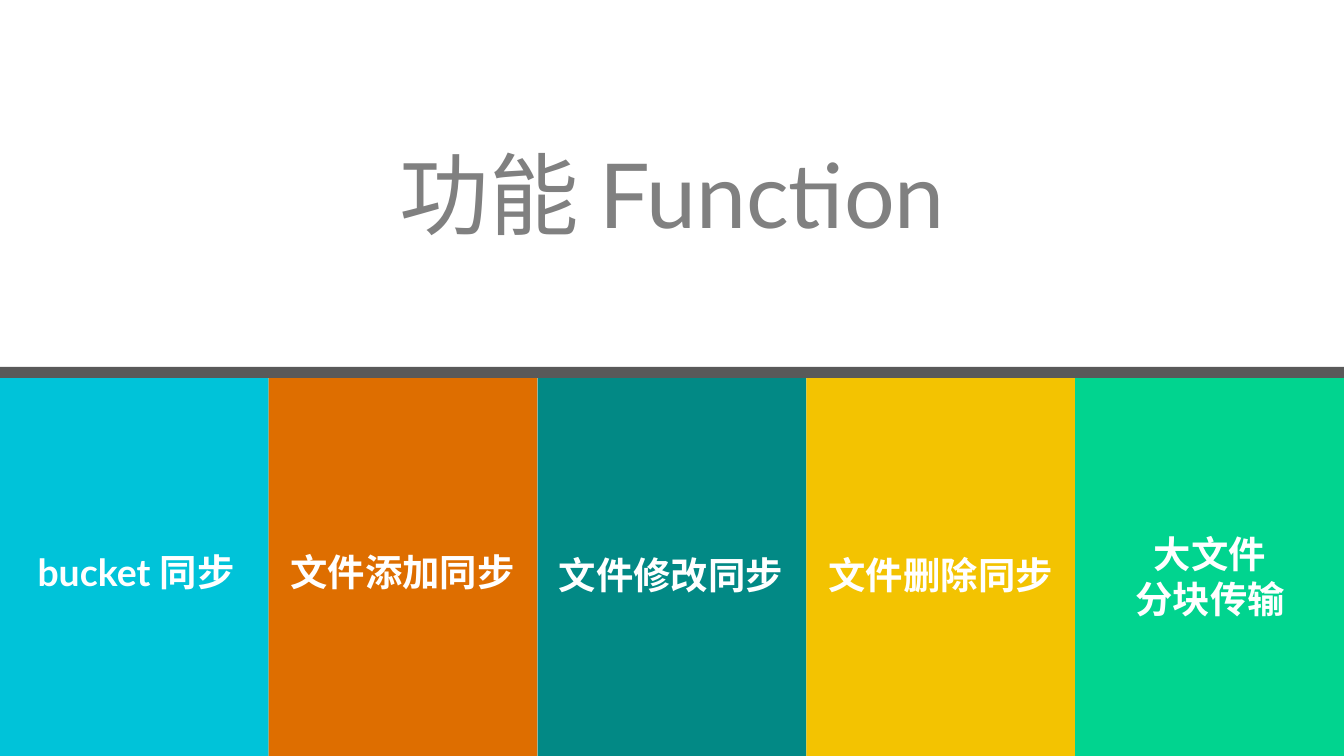
from pptx import Presentation
from pptx.dml.color import RGBColor
from pptx.enum.shapes import MSO_SHAPE
from pptx.enum.text import MSO_ANCHOR, MSO_AUTO_SIZE, PP_ALIGN
from pptx.util import Cm, Pt

# Content: label, panel colour, label left / top / width / height in cm
TITLE = "功能 Function"
FEATURES = [
    ("bucket 同步", "00C3D9", (0.46, 10.24, 4.32, 1.12), PP_ALIGN.LEFT),
    ("文件添加同步", "DE6E00", (5.21, 10.24, 4.8, 1.12), PP_ALIGN.CENTER),
    ("文件修改同步", "028985", (10.24, 10.31, 4.88, 1.12), PP_ALIGN.CENTER),
    ("文件删除同步", "F3C301", (15.29, 10.31, 4.98, 1.12), PP_ALIGN.CENTER),
    ("大文件\n分块传输", "01D48F", (20.42, 9.91, 4.9, 1.96), PP_ALIGN.CENTER),
]
THEME = {"font": "Lato", "title": "808080", "label": "FFFFFF", "bar": "595959",
         "title_size": 48, "label_size": 20}

# Layout in cm
PAGE_WIDTH, PAGE_HEIGHT = 25.4, 14.28
PANEL_TOP, BAR_HEIGHT = 7.14, 0.21
PANEL_WIDTH = PAGE_WIDTH / len(FEATURES)


def add_block(page, left, top, width, height, color):
    block = page.shapes.add_shape(
        MSO_SHAPE.RECTANGLE, Cm(left), Cm(top), Cm(width), Cm(height))
    block.shadow.inherit = False
    block.fill.solid()
    block.fill.fore_color.rgb = RGBColor.from_string(color)
    block.line.fill.background()


def write(box, text, role, align, bold, wrap):
    frame = box.text_frame
    frame.text = text
    frame.word_wrap = wrap
    frame.auto_size = MSO_AUTO_SIZE.SHAPE_TO_FIT_TEXT
    frame.vertical_anchor = MSO_ANCHOR.TOP
    for para in frame.paragraphs:
        para.alignment = align
        para.line_spacing = 1.0
        para.space_before = Pt(0)
        for span in para.runs:
            span.font.name = THEME["font"]
            span.font.size = Pt(THEME[role + "_size"])
            span.font.bold = bold
            span.font.color.rgb = RGBColor.from_string(THEME[role])


deck = Presentation()
deck.slide_width, deck.slide_height = Cm(PAGE_WIDTH), Cm(PAGE_HEIGHT)
page = deck.slides.add_slide(deck.slide_layouts[5])

# Coloured panels and the dividing bar above them
for index, (_, color, _, _) in enumerate(FEATURES):
    add_block(page, index * PANEL_WIDTH, PANEL_TOP, PANEL_WIDTH,
              PAGE_HEIGHT - PANEL_TOP, color)
add_block(page, 0, PANEL_TOP - BAR_HEIGHT, PAGE_WIDTH, BAR_HEIGHT, THEME["bar"])

# Title
title = page.shapes.title
title.left, title.top, title.width, title.height = Cm(6.73), Cm(2.49), Cm(11.96), Cm(2.31)
write(title, TITLE, "title", PP_ALIGN.CENTER, False, False)

# Panel labels
for text, _, place, align in FEATURES:
    box = page.shapes.add_textbox(*(Cm(length) for length in place))
    write(box, text, "label", align, True, True)

deck.save("out.pptx")
